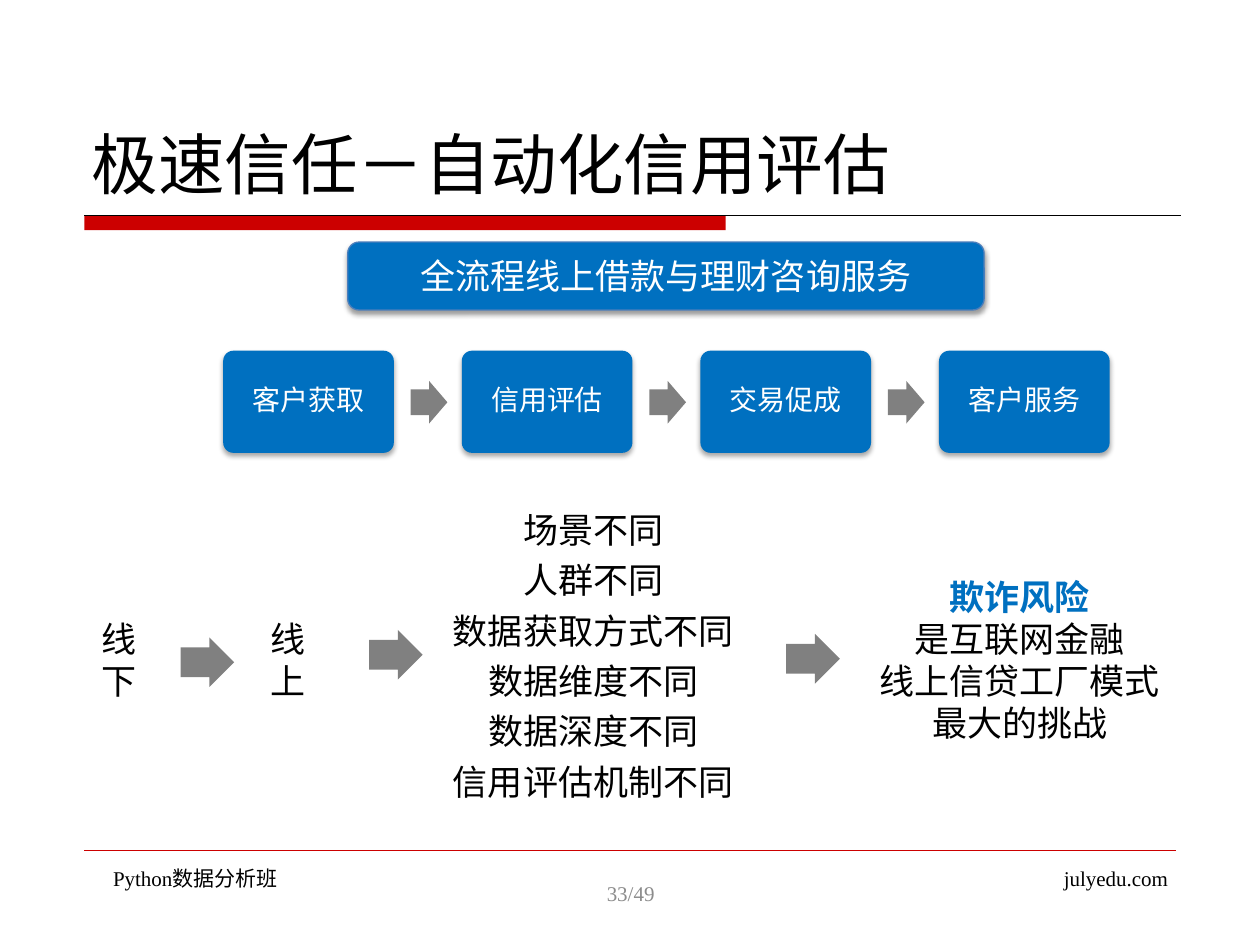
from lxml.etree import SubElement
from pptx import Presentation
from pptx.dml.color import RGBColor
from pptx.enum.shapes import MSO_CONNECTOR, MSO_SHAPE
from pptx.enum.text import MSO_ANCHOR, PP_ALIGN
from pptx.oxml.ns import qn
from pptx.util import Cm, Pt

COLORS = {"red": "CC0000", "blue": "0070C0", "edge": "4B7EBC", "grey": "808080",
          "page": "8C8C8C", "black": "000000", "white": "FFFFFF"}
SC, JP, TIMES = "Noto Sans CJK SC", "Noto Sans CJK JP", "Times New Roman"
LEFT, CENTER, RIGHT = PP_ALIGN.LEFT, PP_ALIGN.CENTER, PP_ALIGN.RIGHT
TOP, MIDDLE, BOTTOM = MSO_ANCHOR.TOP, MSO_ANCHOR.MIDDLE, MSO_ANCHOR.BOTTOM

prs = Presentation()
prs.slide_width, prs.slide_height = Cm(25.4), Cm(19.05)
slide = prs.slides.add_slide(prs.slide_layouts[6])
shapes = slide.shapes


def add_block(kind, place, fill, corner=None, shadow_alpha=None):
    block = shapes.add_shape(kind, *map(Cm, place))
    block.fill.solid()
    block.fill.fore_color.rgb = RGBColor.from_string(COLORS[fill])
    block.line.fill.background()
    block.shadow.inherit = False
    if kind == MSO_SHAPE.RIGHT_ARROW:
        block.adjustments[0] = 0.6
    if corner:
        block.adjustments[0] = corner
    if shadow_alpha:
        effects = block._element.spPr.find(qn("a:effectLst"))
        shadow = SubElement(effects, qn("a:outerShdw"), blurRad=str(Pt(3.1)),
                            dist=str(Pt(1.8)), dir="5400000", rotWithShape="0")
        color = SubElement(shadow, qn("a:srgbClr"), val=COLORS["black"])
        SubElement(color, qn("a:alpha"), val=str(shadow_alpha * 1000))
    return block


def write(holder, paragraphs, size, latin, asian, color="black", align=CENTER,
          anchor=TOP, spacing=None, insets=(0.25, 0.13, 0.25, 0.13)):
    frame = holder.text_frame
    frame.word_wrap = True
    frame.vertical_anchor = anchor
    (frame.margin_left, frame.margin_top,
     frame.margin_right, frame.margin_bottom) = map(Cm, insets)
    for number, lines in enumerate(paragraphs):
        paragraph = frame.add_paragraph() if number else frame.paragraphs[0]
        paragraph.alignment = align
        if spacing:
            paragraph.line_spacing = spacing
        for position, line in enumerate(lines):
            if position:
                paragraph.add_line_break()
            run = paragraph.add_run()
            run.text = line
            run.font.size = Pt(size)
            run.font.name = latin
            run.font.color.rgb = RGBColor.from_string(COLORS[color])
            SubElement(run.font._element, qn("a:ea"), typeface=asian)


add_block(MSO_SHAPE.RECTANGLE, (1.7, 4.34, 12.93, 0.3), "red")
for x_end, y, color, weight in [(23.8, 4.34, "black", 0.75), (23.7, 17.15, "red", 0.25)]:
    rule = shapes.add_connector(MSO_CONNECTOR.STRAIGHT, Cm(1.7), Cm(y), Cm(x_end), Cm(y))
    rule.line.color.rgb = RGBColor.from_string(COLORS[color])
    rule.line.width = Pt(weight)
    SubElement(rule._element.spPr, qn("a:effectLst"))

title = shapes.add_textbox(Cm(1.6), Cm(0.84), Cm(22.23), Cm(3.38))
write(title, [["极速信任－自动化信用评估"]], 38, SC, SC, align=LEFT, anchor=BOTTOM)

steps = ["客户获取", "信用评估", "交易促成", "客户服务"]
for index, step in enumerate(steps):
    x = 4.5 + index * 4.81
    card = add_block(MSO_SHAPE.ROUNDED_RECTANGLE, (x, 7.07, 3.44, 2.06), "blue", 0.1, 35)
    write(card, [[step]], 16, SC, SC, "white", anchor=MIDDLE, spacing=0.9,
          insets=(0.18, 0.18, 0.18, 0.18))
    if index < len(steps) - 1:
        add_block(MSO_SHAPE.RIGHT_ARROW, (x + 3.78, 7.68, 0.74, 0.86), "grey")

service = add_block(MSO_SHAPE.ROUNDED_RECTANGLE, (7.01, 4.88, 12.83, 1.37), "blue",
                    shadow_alpha=38)
service.line.color.rgb = RGBColor.from_string(COLORS["edge"])
service.line.width = Pt(0.75)
write(service, [["全流程线上借款与理财咨询服务"]], 20, JP, JP, "white", anchor=MIDDLE)

risk = shapes.add_textbox(Cm(17.37), Cm(11.48), Cm(6.38), Cm(3.68))
write(risk, [["欺诈风险", "是互联网金融", "线上信贷工厂模式", "最大的挑战"]], 20, JP, JP)
headline = risk.text_frame.paragraphs[0].runs[0].font
headline.bold = True
headline.color.rgb = RGBColor.from_string(COLORS["blue"])

differences = ["场景", "人群", "数据获取方式", "数据维度", "数据深度", "信用评估机制"]
contrast = shapes.add_textbox(Cm(7.54), Cm(10.08), Cm(8.84), Cm(6.15))
write(contrast, [[name + "不同"] for name in differences], 20, JP, JP,
      spacing=1.2, insets=(0, 0, 0, 0))

for x, channel in [(1.8, "线下"), (5.21, "线上")]:
    label = shapes.add_textbox(Cm(x), Cm(12.32), Cm(1.09), Cm(1.96))
    write(label, [[channel]], 20, JP, JP, align=LEFT)

for x, y in [(3.64, 12.85), (7.44, 12.7), (15.85, 12.78)]:
    add_block(MSO_SHAPE.RIGHT_ARROW, (x, y, 1.08, 1), "grey")

footers = [
    ("Python数据分析班", 1.5, 17.32, 5.51, LEFT, TOP, "black", 0.78),
    ("33/49", 8.69, 17.35, 8.05, CENTER, MIDDLE, "page", 0.25),
    ("julyedu.com", 18.29, 17.32, 5.51, RIGHT, TOP, "black", 0.25),
]
for text, x, y, width, align, anchor, color, indent in footers:
    footer = shapes.add_textbox(Cm(x), Cm(y), Cm(width), Cm(1.32))
    write(footer, [[text]], 12, TIMES, SC, color, align, anchor,
          insets=(indent, 0.13, 0.25, 0.13))

prs.save("out.pptx")
